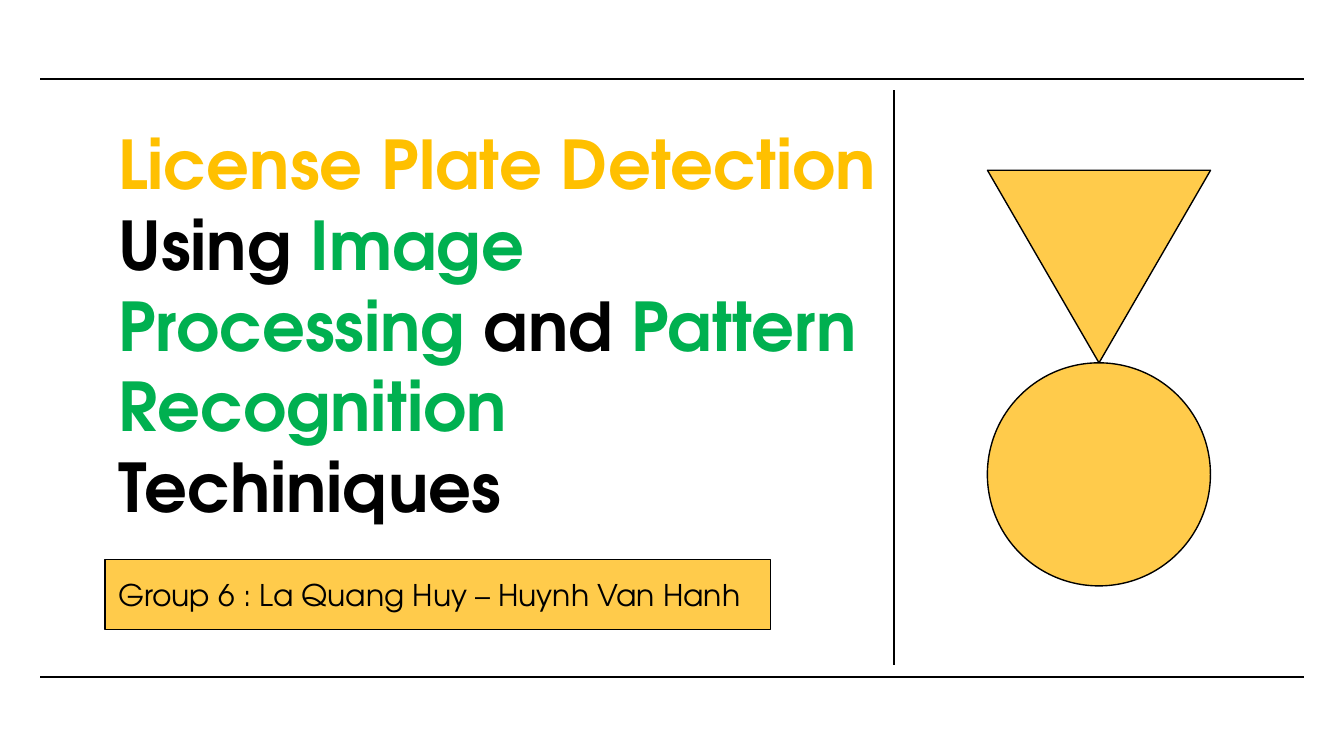
"""Builds the title slide of a talk on license plate detection."""
from dataclasses import dataclass
from typing import Optional

from lxml.etree import SubElement
from pptx import Presentation
from pptx.dml.color import RGBColor
from pptx.enum.shapes import MSO_CONNECTOR, MSO_SHAPE
from pptx.enum.text import MSO_ANCHOR, PP_ALIGN
from pptx.oxml.ns import qn
from pptx.util import Emu, Inches, Pt

CELL = Inches(0.1)
COLUMNS, ROWS = 100, 56.25
MARGIN = 3
TOP_RULE, BOTTOM_RULE = 5.87, 50.38
DIVIDER, DIVIDER_TOP, DIVIDER_BOTTOM = 66.53, 6.7, 49.5
TEXT_LEFT = 7.82
MEDAL_LEFT, MEDAL_TOP = 73.47, 12.67
MEDAL_SIZE, RIBBON_HEIGHT = 16.6, 14.33


@dataclass(frozen=True)
class Theme:
    font: str = "TeX Gyre Adventor"
    ink: str = "000000"
    amber: str = "FFC000"
    green: str = "00B050"
    gold: str = "FFCB4B"
    title_size: float = 36
    subtitle_size: float = 16
    line_width: float = 0.75


@dataclass(frozen=True)
class Box:
    left: float
    top: float
    width: float
    height: float
    kind: Optional[MSO_SHAPE] = None
    rotation: float = 0


@dataclass(frozen=True)
class Rule:
    x1: float
    y1: float
    x2: float
    y2: float


THEME = Theme()

RULES = [
    Rule(MARGIN, TOP_RULE, COLUMNS - MARGIN, TOP_RULE),
    Rule(MARGIN, BOTTOM_RULE, COLUMNS - MARGIN, BOTTOM_RULE),
    Rule(DIVIDER, DIVIDER_TOP, DIVIDER, DIVIDER_BOTTOM),
]
MEDAL = [
    Box(MEDAL_LEFT, MEDAL_TOP, MEDAL_SIZE, RIBBON_HEIGHT,
        MSO_SHAPE.ISOSCELES_TRIANGLE, 180),
    Box(MEDAL_LEFT, MEDAL_TOP + RIBBON_HEIGHT, MEDAL_SIZE, MEDAL_SIZE, MSO_SHAPE.OVAL),
]
TITLE_BOX = Box(TEXT_LEFT, 8.58, 59, 31.1)
SUBTITLE_BOX = Box(TEXT_LEFT, 41.64, 49.5, 5.2, MSO_SHAPE.RECTANGLE)

TITLE = [
    ("License Plate Detection ", THEME.amber),
    ("Using ", THEME.ink),
    ("Image Processing ", THEME.green),
    ("and ", THEME.ink),
    ("Pattern Recognition ", THEME.green),
    ("Techiniques", THEME.ink),
]
SUBTITLE = [("Group 6 : La Quang Huy – Huynh Van Hanh", THEME.ink)]


def grid(*cells: float) -> list[Emu]:
    """Turn grid counts into lengths."""
    return [Emu(round(n * CELL)) for n in cells]


def style_line(line) -> None:
    """Give an outline the theme's ink and width."""
    line.color.rgb = RGBColor.from_string(THEME.ink)
    line.width = Pt(THEME.line_width)


def add_rule(s, rule: Rule) -> None:
    """Draw one straight rule without a shadow."""
    line = s.shapes.add_connector(
        MSO_CONNECTOR.STRAIGHT, *grid(rule.x1, rule.y1, rule.x2, rule.y2))
    style_line(line.line)
    SubElement(line._element.spPr, qn("a:effectLst"))


def add_box(s, box: Box):
    """Draw a gold shape, or a bare text box if no kind is given."""
    place = grid(box.left, box.top, box.width, box.height)
    if box.kind is None:
        return s.shapes.add_textbox(*place)
    sp = s.shapes.add_shape(box.kind, *place)
    sp.shadow.inherit = False
    sp.rotation = box.rotation
    sp.fill.solid()
    sp.fill.fore_color.rgb = RGBColor.from_string(THEME.gold)
    style_line(sp.line)
    return sp


def write(sp, runs: list[tuple[str, str]], *, size: float, bold: bool = False) -> None:
    """Write one left-aligned paragraph of coloured runs."""
    tf = sp.text_frame
    tf.word_wrap = True
    tf.vertical_anchor = MSO_ANCHOR.MIDDLE
    tf.margin_left = tf.margin_right = tf.margin_top = tf.margin_bottom = CELL
    p = tf.paragraphs[0]
    p.alignment = PP_ALIGN.LEFT
    for text, color in runs:
        r = p.add_run()
        r.text = text
        r.font.name = THEME.font
        r.font.size = Pt(size)
        r.font.bold = bold
        r.font.color.rgb = RGBColor.from_string(color)


def main() -> None:
    """Build and save the slide."""
    prs = Presentation()
    prs.slide_width, prs.slide_height = grid(COLUMNS, ROWS)
    s = prs.slides.add_slide(prs.slide_layouts[6])
    for rule in RULES:
        add_rule(s, rule)
    for part in MEDAL:
        add_box(s, part)
    write(add_box(s, TITLE_BOX), TITLE, size=THEME.title_size, bold=True)
    write(add_box(s, SUBTITLE_BOX), SUBTITLE, size=THEME.subtitle_size)
    prs.save("out.pptx")


if __name__ == "__main__":
    main()
